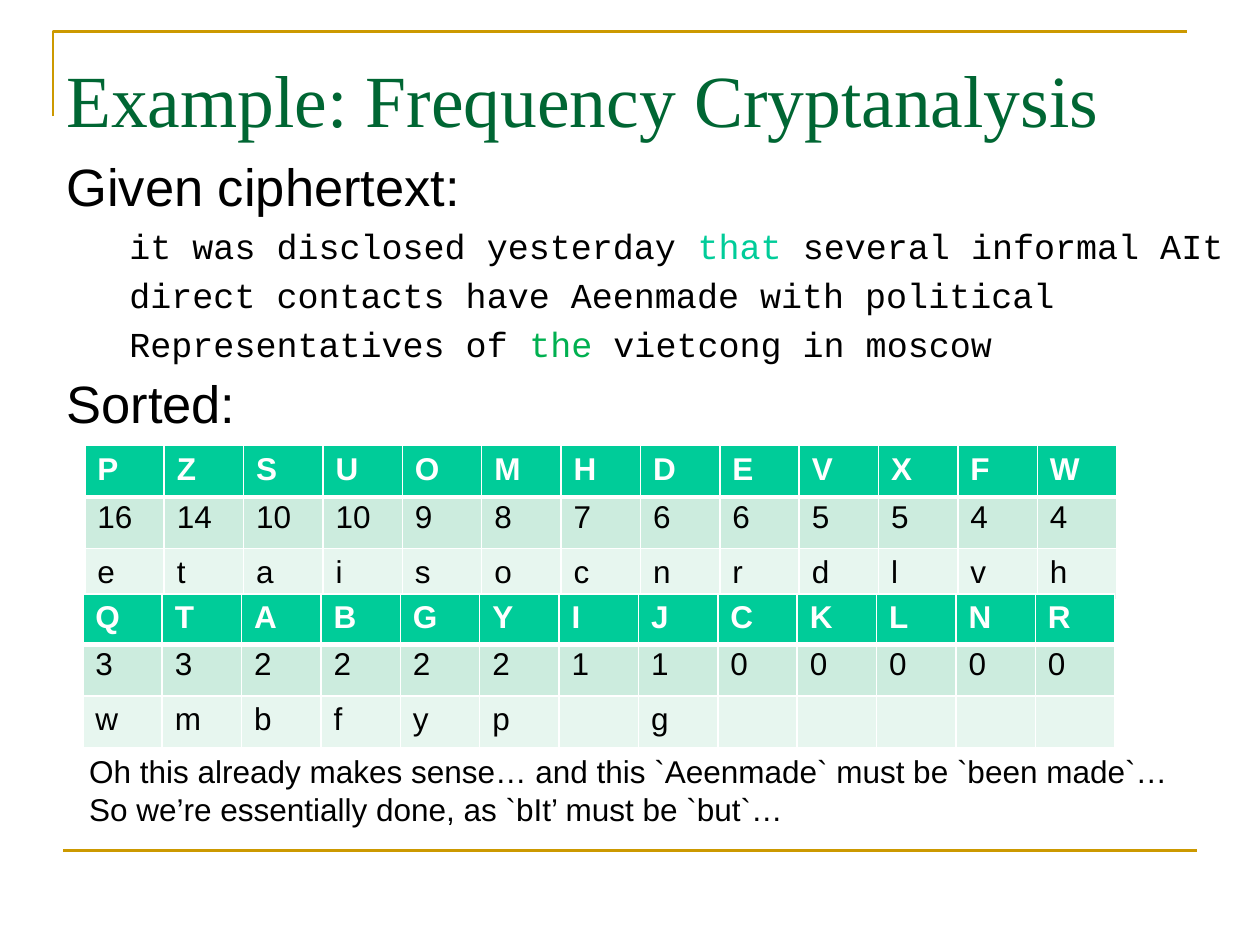
from typing import NamedTuple

from lxml.etree import SubElement
from pptx import Presentation
from pptx.dml.color import RGBColor
from pptx.enum.shapes import MSO_CONNECTOR as Connector
from pptx.enum.text import MSO_ANCHOR as Anchor
from pptx.oxml import parse_xml
from pptx.oxml.ns import nsdecls, qn
from pptx.util import Cm, Pt

BLACK = "000000"
WHITE = "FFFFFF"
GOLD = "CC9900"
DARK_GREEN = "006633"
TEAL = "00CC99"
LEAF_GREEN = "00B050"
ROW_FILLS = (TEAL, "CCECDE", "E7F6EF")
COLUMN_WIDTH = 1.6
ROW_HEIGHT = 1.04


class Piece(NamedTuple):
    text: str
    color: str = BLACK


class Style(NamedTuple):
    font: str
    size: float
    margin: float = 0
    indent: float = 0
    space_before: float = 0
    line_spacing: float = 1.0


class Line(NamedTuple):
    style: Style
    pieces: tuple[Piece, ...]


class Box(NamedTuple):
    left: float
    top: float
    width: float
    height: float
    lines: tuple[Line, ...]
    inset_top: float = 0.13
    wrap: bool = True


class FrequencyTable(NamedTuple):
    left: float
    top: float
    header_height: float
    letters: str
    counts: tuple[int, ...]
    guesses: str


TITLE = Style("Times New Roman", 42)
HEADING = Style("Arial", 30, 0.97, -0.97, 7.5, 0.9)
CIPHER = Style("Courier New", 20, 2.06, -0.79, 6.5, 0.9)
NOTE = Style("Arial", 18)

BOXES = (
    Box(1.09, 0.76, 23.04, 3.81, (
        Line(TITLE, (Piece("Example: Frequency Cryptanalysis", DARK_GREEN),)),
    ), inset_top=0.32),
    Box(1.09, 3.12, 23.93, 5.84, (
        Line(HEADING, (Piece("Given ciphertext:"),)),
        Line(CIPHER, (Piece("it was disclosed yesterday "), Piece("that ", TEAL),
                      Piece("several informal AIt"))),
        Line(CIPHER, (Piece("direct contacts have Aeenmade with political"),)),
        Line(CIPHER, (Piece("Representatives of "), Piece("the ", LEAF_GREEN),
                      Piece("vietcong in moscow"))),
        Line(HEADING, (Piece("Sorted:"),)),
    )),
    Box(1.55, 15.04, 22.45, 1.8, (
        Line(NOTE, (Piece("Oh this already makes sense… and this `Aeenmade` must be `been made`…"),)),
        Line(NOTE, (Piece("So we’re essentially done, as `bIt’ must be `but`…"),)),
    ), wrap=False),
)

TABLES = (
    FrequencyTable(1.71, 8.98, ROW_HEIGHT, "PZSUOMHDEVXFW",
                   (16, 14, 10, 10, 9, 8, 7, 6, 6, 5, 5, 4, 4), "etaisocnrdlvh"),
    FrequencyTable(1.67, 11.97, 0.98, "QTABGYIJCKLNR",
                   (3, 3, 2, 2, 2, 2, 1, 1, 0, 0, 0, 0, 0), "wmbfyp g     "),
)


def rgb(color: str) -> RGBColor:
    return RGBColor.from_string(color)


def format_run(run, font: str, size: float, color: str, bold: bool = False) -> None:
    run.font.name = font
    run.font.size = Pt(size)
    run.font.bold = bold
    run.font.color.rgb = rgb(color)


def draw_frame(slide) -> None:
    builder = slide.shapes.build_freeform(Cm(1.07), Cm(2.34))
    builder.add_line_segments([(Cm(1.07), Cm(0.64)), (Cm(23.93), Cm(0.64))], close=False)
    corner = builder.convert_to_shape()
    corner.shadow.inherit = False
    corner.fill.background()
    rule = slide.shapes.add_connector(
        Connector.STRAIGHT, Cm(1.27), Cm(17.15), Cm(24.13), Cm(17.15))
    SubElement(rule._element.spPr, qn("a:effectLst"))
    for shape in (corner, rule):
        shape.line.color.rgb = rgb(GOLD)
        shape.line.width = Pt(1.5)


def draw_box(slide, box: Box) -> None:
    shape = slide.shapes.add_textbox(
        Cm(box.left), Cm(box.top), Cm(box.width), Cm(box.height))
    text_frame = shape.text_frame
    text_frame.word_wrap = box.wrap
    text_frame.margin_top = Cm(box.inset_top)
    for index, line in enumerate(box.lines):
        paragraph = text_frame.add_paragraph() if index else text_frame.paragraphs[0]
        style = line.style
        properties = paragraph._p.get_or_add_pPr()
        properties.set("marL", str(Cm(style.margin)))
        properties.set("indent", str(Cm(style.indent)))
        paragraph.line_spacing = style.line_spacing
        paragraph.space_before = Pt(style.space_before if index else 0)
        for piece in line.pieces:
            run = paragraph.add_run()
            run.text = piece.text
            format_run(run, style.font, style.size, piece.color)


def set_borders(cell, row: int) -> None:
    top = 3 if row == 1 else 1
    bottom = 3 if row == 0 else 1
    sides = (("lnL", 1), ("lnR", 1), ("lnT", top), ("lnB", bottom))
    for position, (side, width) in enumerate(sides):
        border = parse_xml(
            f'<a:{side} {nsdecls("a")} w="{Pt(width)}"><a:solidFill>'
            f'<a:srgbClr val="{WHITE}"/></a:solidFill></a:{side}>')
        cell._tc.get_or_add_tcPr().insert(position, border)


def draw_table(slide, data: FrequencyTable) -> None:
    rows = (data.letters, data.counts, data.guesses)
    heights = (data.header_height, ROW_HEIGHT, ROW_HEIGHT)
    columns = len(data.letters)
    table = slide.shapes.add_table(
        len(rows), columns, Cm(data.left), Cm(data.top),
        Cm(COLUMN_WIDTH * columns), Cm(sum(heights))).table
    for column in table.columns:
        column.width = Cm(COLUMN_WIDTH)
    for row, (values, height) in enumerate(zip(rows, heights)):
        table.rows[row].height = Cm(height)
        for column, value in enumerate(values):
            cell = table.cell(row, column)
            cell.fill.solid()
            cell.fill.fore_color.rgb = rgb(ROW_FILLS[row])
            cell.vertical_anchor = Anchor.TOP
            cell.margin_top = Cm(0.05 if row == 1 else 0.13)
            set_borders(cell, row)
            cell.text_frame.text = str(value).strip()
            for run in cell.text_frame.paragraphs[0].runs:
                format_run(run, "Arial", 18, BLACK if row else WHITE, bold=row == 0)


def main() -> None:
    presentation = Presentation()
    presentation.slide_width = Cm(25.4)
    presentation.slide_height = Cm(19.05)
    slide = presentation.slides.add_slide(presentation.slide_layouts[6])
    draw_frame(slide)
    for box in BOXES:
        draw_box(slide, box)
    for data in TABLES:
        draw_table(slide, data)
    presentation.save("out.pptx")


if __name__ == "__main__":
    main()
